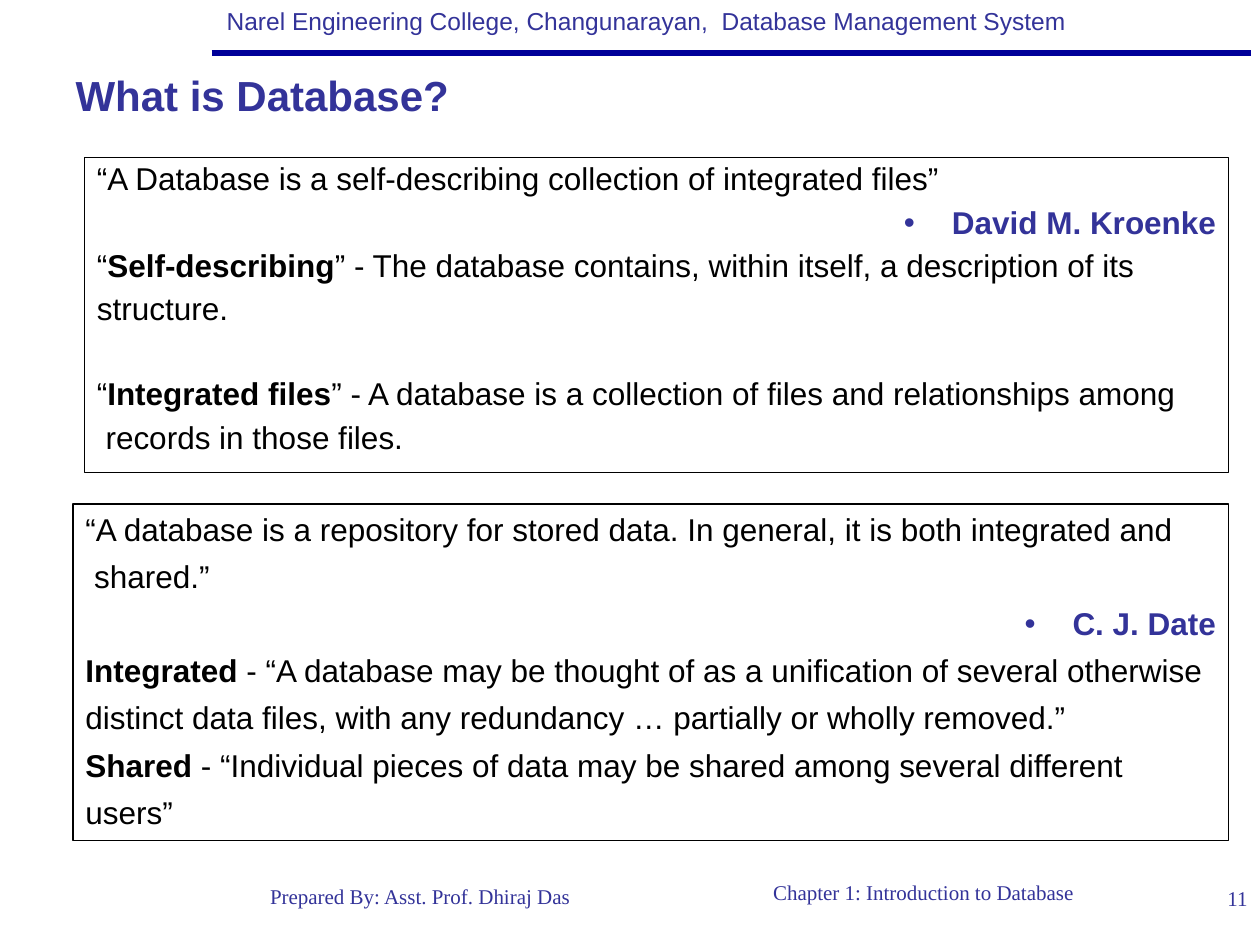
from dataclasses import dataclass
from typing import Any

from lxml.etree import SubElement as Sub
from pptx import Presentation as Deck
from pptx.dml.color import RGBColor as Rgb
from pptx.enum.shapes import MSO_CONNECTOR as Link, MSO_SHAPE as Form
from pptx.enum.text import MSO_ANCHOR as Anchor, PP_ALIGN as Align
from pptx.oxml.ns import qn
from pptx.util import Inches, Pt


@dataclass(frozen=True)
class Theme:
    ink: Rgb = Rgb(0, 0, 0)
    blue: Rgb = Rgb(0x33, 0x33, 0x99)
    navy: Rgb = Rgb(0, 0, 0x99)
    sans: str = "Arial"
    serif: str = "Times New Roman"
    title: float = 24
    body: float = 18
    head: float = 14
    foot: float = 12
    gap: float = 5.3
    hang: float = 0.38


@dataclass(frozen=True)
class Place:
    left: float
    top: float
    width: float
    height: float

    def spread(self) -> list[int]:
        return [Inches(v) for v in (self.left, self.top, self.width, self.height)]


@dataclass(frozen=True)
class Label:
    text: str
    place: Place
    size: float
    face: str
    align: Any
    wrap: bool = True


@dataclass(frozen=True)
class Row:
    """One line of a box: a plain start, a bold term and a plain end."""
    start: str = ""
    term: str = ""
    end: str = ""
    source: bool = False
    extra: float = 0


@dataclass(frozen=True)
class Panel:
    place: Place
    rows: tuple[Row, ...]
    pitch: float


THEME = Theme()

LABELS = (
    Label("Narel Engineering College, Changunarayan,  Database Management System",
          Place(1.7, 0, 6.91, 0.34), THEME.head, THEME.sans, Align.LEFT, False),
    Label("Chapter 1: Introduction to Database",
          Place(5.25, 6.93, 4.16, 0.5), THEME.foot, THEME.serif, Align.CENTER, False),
    Label("Prepared By: Asst. Prof. Dhiraj Das",
          Place(1.42, 6.96, 3.83, 0.5), THEME.foot, THEME.serif, Align.CENTER),
    Label("11", Place(9.42, 6.98, 0.58, 0.5), THEME.foot, THEME.serif, Align.RIGHT),
)

PANELS = (
    Panel(Place(0.67, 1.25, 9.08, 2.5), (
        Row("“A Database is a self-describing collection of integrated files”"),
        Row(term="David M. Kroenke", source=True),
        Row("“", "Self-describing",
            "” - The database contains, within itself, a description of its"),
        Row("structure. "),
        Row("“", "Integrated files",
            "” - A database is a collection of files and relationships among", extra=23.9),
        Row(" records in those files."),
    ), 0.9),
    Panel(Place(0.58, 4, 9.17, 2.67), (
        Row("“A database is a repository for stored data. In general, it is both integrated and"),
        Row(" shared.”"),
        Row(term="C. J. Date", source=True),
        Row(term="Integrated",
            end=" - “A database may be thought of as a unification of several otherwise "),
        Row("distinct data files, with any redundancy … partially or wholly removed.”"),
        Row(term="Shared",
            end=" - “Individual pieces of data may be shared among several different"),
        Row("users”"),
    ), 1.0),
)


def apply(target: Any, style: dict[str, Any]) -> None:
    for name, value in style.items():
        setattr(target, name, value)


def set_frame(frame: Any, wrap: bool = True) -> None:
    apply(frame, {
        "word_wrap": wrap, "vertical_anchor": Anchor.TOP,
        "margin_left": Inches(0.1), "margin_right": Inches(0.1),
        "margin_top": Inches(0.05), "margin_bottom": Inches(0.05),
    })


def add_run(para: Any, text: str, size: float, face: str, color: Rgb,
            bold: bool = False) -> None:
    run = para.add_run()
    run.text = text
    apply(run.font, {"size": Pt(size), "name": face, "bold": bold})
    run.font.color.rgb = color


def add_label(slide: Any, label: Label) -> None:
    frame = slide.shapes.add_textbox(*label.place.spread()).text_frame
    set_frame(frame, label.wrap)
    para = frame.paragraphs[0]
    para.alignment = label.align
    add_run(para, label.text, label.size, label.face, THEME.blue)


def set_hang(para: Any, dot: bool) -> None:
    props = para._p.get_or_add_pPr()
    props.set("marL", str(Inches(THEME.hang)))
    props.set("indent", str(-Inches(THEME.hang)))
    if dot:
        color = Sub(props, qn("a:buClr"))
        Sub(color, qn("a:srgbClr"), val=str(THEME.blue))
        Sub(props, qn("a:buFont"), typeface=THEME.sans)
        Sub(props, qn("a:buChar"), char="•")
    else:
        Sub(props, qn("a:buNone"))


def add_row(para: Any, row: Row, pitch: float) -> None:
    apply(para, {
        "alignment": Align.RIGHT if row.source else Align.JUSTIFY,
        "line_spacing": pitch, "space_before": Pt(THEME.gap + row.extra),
    })
    set_hang(para, row.source)
    color = THEME.blue if row.source else THEME.ink
    for text, bold in ((row.start, False), (row.term, True), (row.end, False)):
        if text:
            add_run(para, text, THEME.body, THEME.sans, color, bold)


def add_panel(slide: Any, panel: Panel) -> None:
    box = slide.shapes.add_shape(Form.RECTANGLE, *panel.place.spread())
    box.shadow.inherit = False
    box.fill.background()
    box.line.color.rgb = THEME.ink
    box.line.width = Pt(0.75)
    frame = box.text_frame
    set_frame(frame)
    for i, row in enumerate(panel.rows):
        para = frame.add_paragraph() if i else frame.paragraphs[0]
        add_row(para, row, panel.pitch)


def add_rule(slide: Any) -> None:
    rule = slide.shapes.add_connector(
        Link.STRAIGHT, Inches(1.68), Inches(0.42), Inches(9.93), Inches(0.42))
    rule.line.color.rgb = THEME.navy
    rule.line.width = Pt(3)
    Sub(rule._element.spPr, qn("a:effectLst"))


def set_title(slide: Any) -> None:
    title = slide.shapes.title
    spots = Place(0.5, 0.5, 9, 0.7).spread()
    apply(title, dict(zip(("left", "top", "width", "height"), spots)))
    set_frame(title.text_frame)
    para = title.text_frame.paragraphs[0]
    para.alignment = Align.LEFT
    add_run(para, "What is Database?", THEME.title, THEME.sans, THEME.blue, True)


def main() -> None:
    deck = Deck()
    apply(deck, {"slide_width": Inches(10), "slide_height": Inches(7.5)})
    slide = deck.slides.add_slide(deck.slide_layouts.get_by_name("Title Only"))
    # Header rule, header and footer
    add_rule(slide)
    for label in LABELS:
        add_label(slide, label)
    # Boxed quotes
    for panel in PANELS:
        add_panel(slide, panel)
    # Title
    set_title(slide)
    deck.save("out.pptx")


if __name__ == "__main__":
    main()
